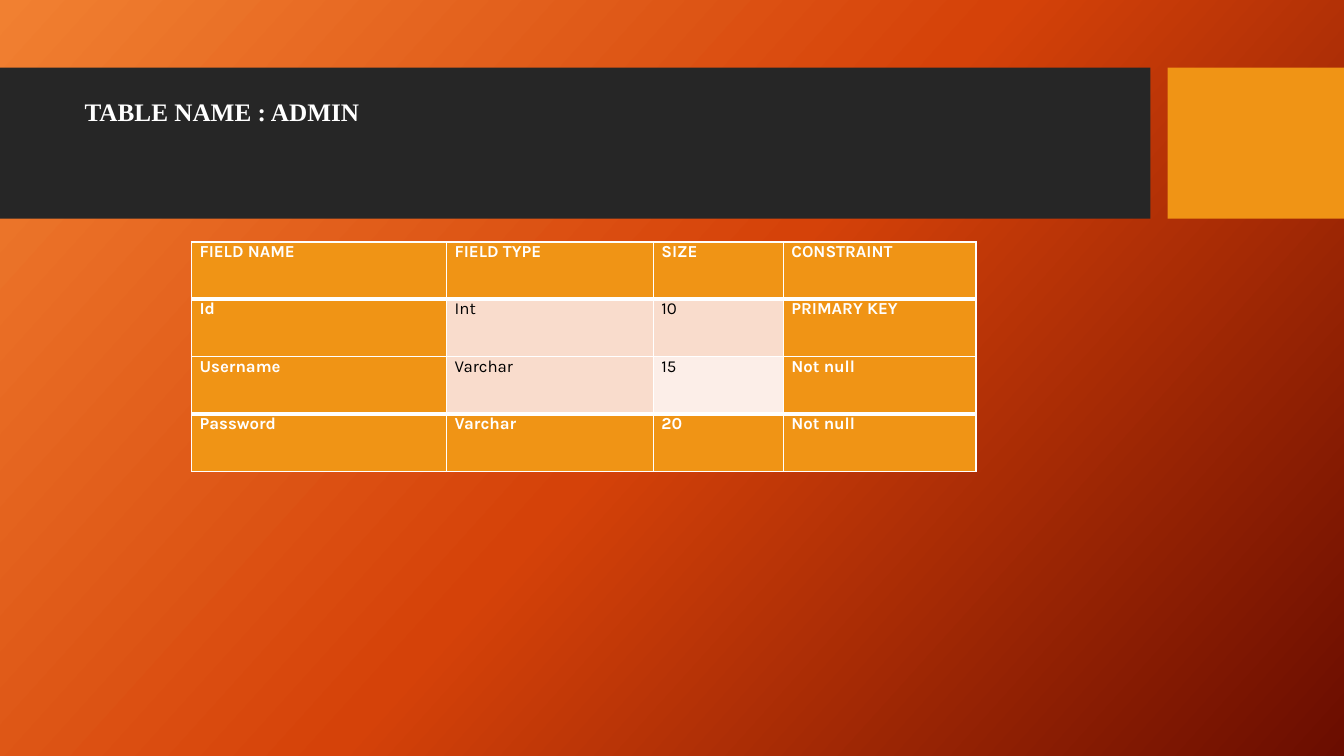
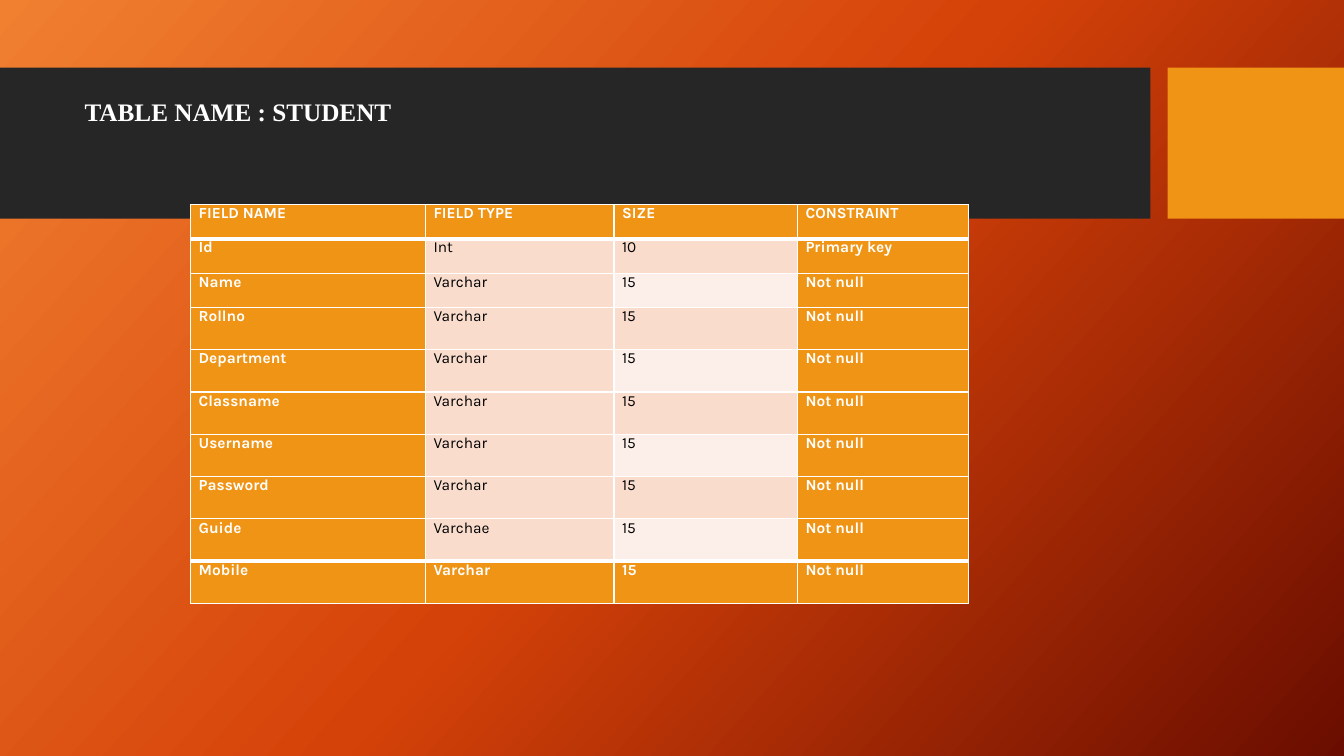
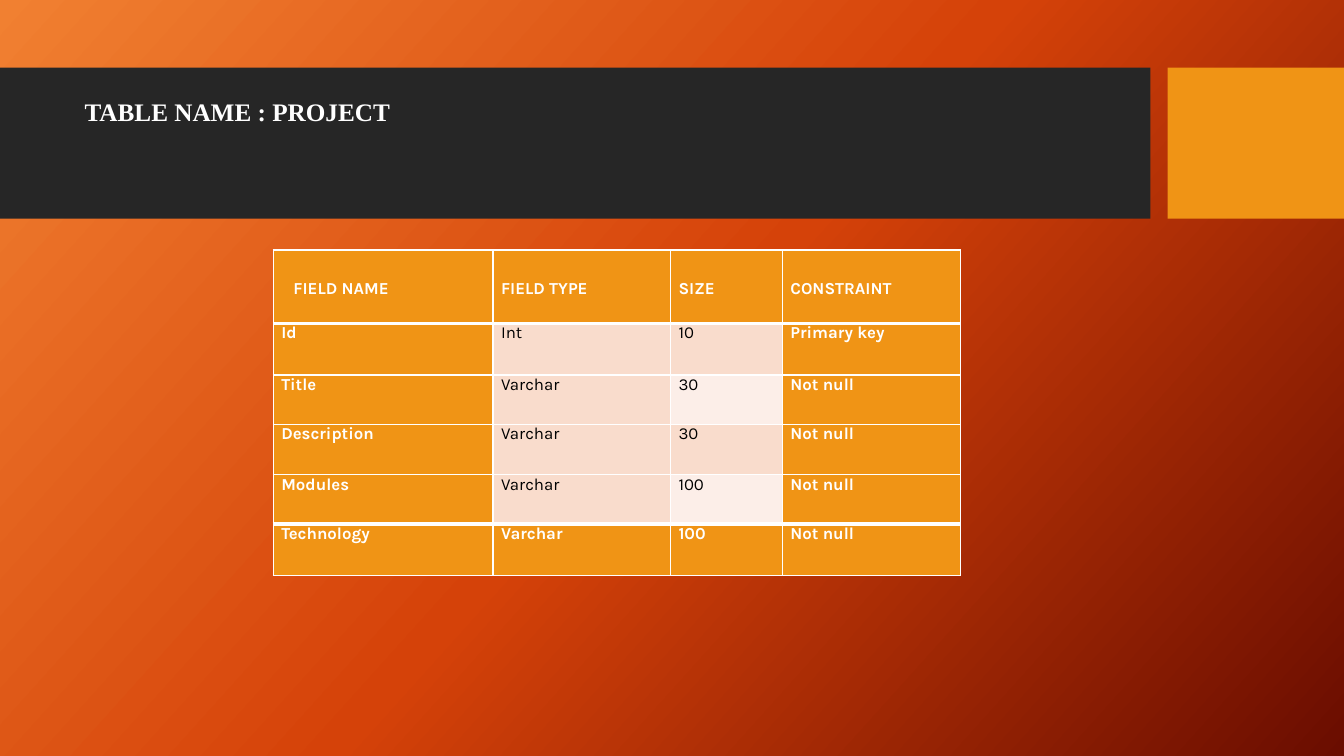
import copy
from dataclasses import dataclass

import pptx
import pptx.dml.color
import pptx.enum.shapes
import pptx.enum.text
import pptx.oxml.ns
import pptx.presentation
import pptx.shapes.autoshape
import pptx.slide
import pptx.table
import pptx.text.text
import pptx.util
from lxml import etree

Inches = pptx.util.Inches
Pt = pptx.util.Pt
RGBColor = pptx.dml.color.RGBColor


@dataclass(frozen=True)
class Theme:
    gradient: tuple[tuple[float, str], ...] = ((0, "F18031"), (0.5, "D54209"), (1, "6A0D00"))
    gradient_angle: float = 318
    band: str = "262626"
    accent: str = "F09415"
    tint: str = "F9DCCC"
    light_tint: str = "FCEEE8"
    white: str = "FFFFFF"
    black: str = "000000"
    title_font: str = "Times New Roman"
    table_font: str = "Karla"
    title_size: float = 18
    table_size: float = 12
    small_table_size: float = 11
    thin: float = 1
    thick: float = 3
    indent: float = 0.08


THEME = Theme()
HEADER = ("FIELD NAME", "FIELD TYPE", "SIZE", "CONSTRAINT")


@dataclass(frozen=True)
class Band:
    left: float
    width: float
    color: str
    top: float = 0.67
    height: float = 1.5


BANDS = (Band(0, 11.41, THEME.band), Band(11.58, 1.75, THEME.accent))


@dataclass(frozen=True)
class SchemaPage:
    title: str
    left: float
    top: float
    columns: tuple[float, ...]
    rows: tuple[float, ...]
    fields: tuple[tuple[str, ...], ...]
    size: float = THEME.table_size
    header_top: float = 0
    header_indent: float = THEME.indent


PAGES = (
    SchemaPage(
        "TABLE NAME : ADMIN", 1.9, 2.4, (2.53, 2.05, 1.29, 1.91), (0.57,) * 4,
        (
            ("Id", "Int", "10", "PRIMARY KEY"),
            ("Username", "Varchar", "15", "Not null"),
            ("Password", "Varchar", "20", "Not null"),
        ),
    ),
    SchemaPage(
        "TABLE NAME : STUDENT", 1.89, 2.03, (2.33, 1.87, 1.82, 1.7), (0.34,) * 3 + (0.42,) * 7,
        (
            ("Id", "Int", "10", "Primary key"),
            ("Name", "Varchar", "15", "Not null"),
            ("Rollno", "Varchar", "15", "Not null"),
            ("Department", "Varchar", "15", "Not null"),
            ("Classname", "Varchar", "15", "Not null"),
            ("Username", "Varchar", "15", "Not null"),
            ("Password", "Varchar", "15", "Not null"),
            ("Guide", "Varchae", "15", "Not null"),
            ("Mobile", "Varchar", "15", "Not null"),
        ),
        size=THEME.small_table_size,
    ),
    SchemaPage(
        "TABLE NAME : PROJECT", 2.71, 2.48, (2.18, 1.76, 1.11, 1.77),
        (0.73, 0.51, 0.49, 0.5, 0.49, 0.51),
        (
            ("Id", "Int", "10", "Primary key"),
            ("Title", "Varchar", "30", "Not null"),
            ("Description", "Varchar", "30", "Not null"),
            ("Modules", "Varchar", "100", "Not null"),
            ("Technology", "Varchar", "100", "Not null"),
        ),
        header_top=0.29,
        header_indent=0.2,
    ),
)


def set_all(target: object, values: dict[str, object]) -> None:
    for name, value in values.items():
        setattr(target, name, value)


def write(frame: pptx.text.text.TextFrame, text: str, font: str, size: float,
          color: str, bold: bool) -> None:
    span = frame.paragraphs[0].add_run()
    span.text = text
    set_all(span.font, {"name": font, "size": Pt(size), "bold": bold})
    span.font.color.rgb = RGBColor.from_string(color)


def paint_background(deck: pptx.presentation.Presentation) -> None:
    """Give the slide master the gradient that every slide inherits."""
    master = deck.slide_master
    fill = master.background.fill
    fill.gradient()
    fill.gradient_angle = THEME.gradient_angle
    stop_list = master.element.xpath("./p:cSld/p:bg//a:gsLst")[0]
    while len(stop_list) < len(THEME.gradient):
        stop_list.append(copy.deepcopy(stop_list[0]))
    for stop, (position, color) in zip(fill.gradient_stops, THEME.gradient):
        stop.position = position
        stop.color.rgb = RGBColor.from_string(color)


def add_band(page: pptx.slide.Slide, band: Band) -> None:
    box = page.shapes.add_shape(
        pptx.enum.shapes.MSO_SHAPE.RECTANGLE,
        Inches(band.left), Inches(band.top), Inches(band.width), Inches(band.height))
    box.shadow.inherit = False
    box.fill.solid()
    box.fill.fore_color.rgb = RGBColor.from_string(band.color)
    box.line.fill.background()


def add_title(page: pptx.slide.Slide, text: str) -> None:
    box = page.shapes.add_textbox(Inches(0.74), Inches(0.82), Inches(10.51), Inches(1.18))
    set_all(box.text_frame, {
        "word_wrap": True,
        "vertical_anchor": pptx.enum.text.MSO_ANCHOR.TOP,
        "margin_top": Inches(0.17),
    })
    box.text_frame.paragraphs[0].line_spacing = 0.9
    write(box.text_frame, text, THEME.title_font, THEME.title_size, THEME.white, True)


def add_borders(cell: pptx.table._Cell, top: float, bottom: float) -> None:
    properties = cell._tc.get_or_add_tcPr()
    qn = pptx.oxml.ns.qn
    widths = {"a:lnL": THEME.thin, "a:lnR": THEME.thin, "a:lnT": top, "a:lnB": bottom}
    for tag, width in widths.items():
        line = etree.SubElement(properties, qn(tag), w=str(Pt(width)))
        fill = etree.SubElement(line, qn("a:solidFill"))
        etree.SubElement(fill, qn("a:srgbClr"), val=THEME.white)


def cell_color(row: int, column: int, last_row: int, last_column: int) -> str:
    if row in (0, last_row) or column in (0, last_column):
        return THEME.accent
    return THEME.light_tint if column == 2 and row % 2 == 0 else THEME.tint


def add_schema_table(page: pptx.slide.Slide, schema: SchemaPage) -> None:
    last_row, last_column = len(schema.rows) - 1, len(schema.columns) - 1
    table = page.shapes.add_table(
        len(schema.rows), len(schema.columns), Inches(schema.left), Inches(schema.top),
        Inches(sum(schema.columns)), Inches(sum(schema.rows))).table
    set_all(table, {"first_row": False, "horz_banding": False})
    for column, width in zip(table.columns, schema.columns):
        column.width = Inches(width)
    for row, height in zip(table.rows, schema.rows):
        row.height = Inches(height)

    thick_edges = (1, last_row)
    for r, texts in enumerate((HEADER, *schema.fields)):
        top, bottom = (THEME.thick if edge in thick_edges else THEME.thin for edge in (r, r + 1))
        for c, text in enumerate(texts):
            cell = table.cell(r, c)
            indent = schema.header_indent if r == c == 0 else THEME.indent
            set_all(cell, {
                "margin_left": Inches(indent),
                "margin_right": 0,
                "margin_top": Inches(schema.header_top if r == 0 else 0),
                "margin_bottom": 0,
            })
            add_borders(cell, top, bottom)
            color = cell_color(r, c, last_row, last_column)
            cell.fill.solid()
            cell.fill.fore_color.rgb = RGBColor.from_string(color)
            strong = color == THEME.accent
            write(cell.text_frame, text, THEME.table_font, schema.size,
                  THEME.white if strong else THEME.black, strong)


def main() -> None:
    deck = pptx.Presentation()
    set_all(deck, {"slide_width": Inches(13.33), "slide_height": Inches(7.5)})
    paint_background(deck)
    for schema in PAGES:
        page = deck.slides.add_slide(deck.slide_layouts[6])
        for band in BANDS:
            add_band(page, band)
        add_title(page, schema.title)
        add_schema_table(page, schema)
    deck.save("out.pptx")


if __name__ == "__main__":
    main()
